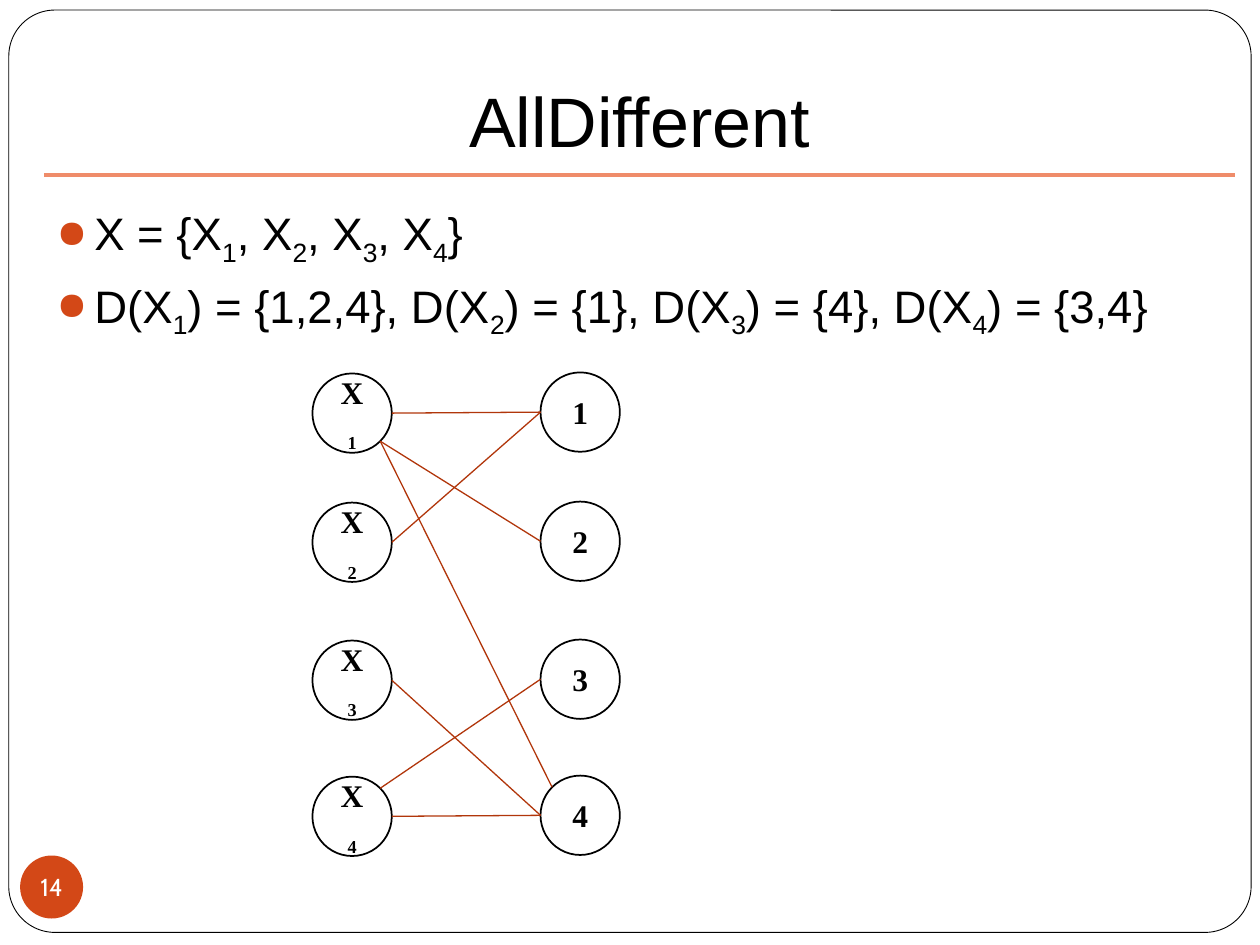
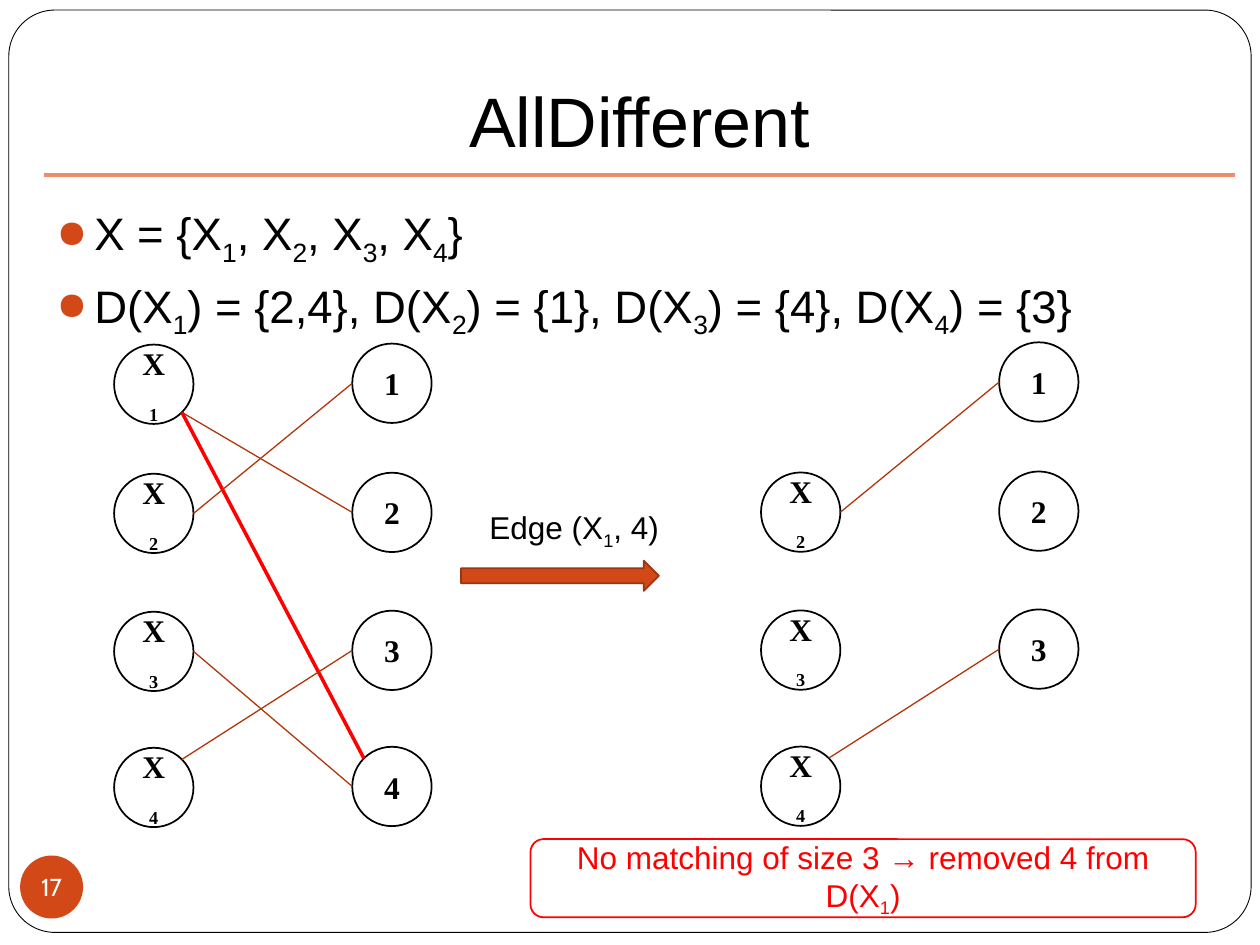
from math import cos, radians, sin

from lxml.etree import SubElement
from pptx import Presentation
from pptx.dml.color import RGBColor as RGB
from pptx.enum.shapes import MSO_CONNECTOR as CXN, MSO_SHAPE as SHAPE
from pptx.enum.text import MSO_ANCHOR as ANCHOR, PP_ALIGN as ALIGN
from pptx.oxml.ns import qn
from pptx.util import Inches, Pt

COLORS = {
    "ink": "000000", "paper": "FFFFFF", "accent": "D34817", "rule": "EF8C6A",
    "edge": "B1360B", "arrow_line": "9C3511", "alert": "FF0000",
}
SANS, SERIF, NUMBER = "Arial", "Times New Roman", "Cabin"
INSETS = (1, 0.5, 1, 0.5)
NODE = 6.3
ROWS = (0, 10.25, 21.2, 32)
RISE = 0.08
ANGLES = {"right": 0, "low right": 45, "left": 180, "high left": 225, "high right": 315}


class Deck:
    def __init__(self, cols=100, rows=75):
        self.prs = Presentation()
        self.prs.slide_width, self.prs.slide_height = Inches(10), Inches(7.5)
        self.col = self.prs.slide_width / cols
        self.row = self.prs.slide_height / rows

    def grid(self, *vals):
        return [int(v * (self.row if i % 2 else self.col)) for i, v in enumerate(vals)]

    def color(self, name):
        return RGB.from_string(COLORS[name])

    def slide(self, title, number, bullets):
        self.shapes = self.prs.slides.add_slide(self.prs.slide_layouts[6]).shapes
        frame = self.shape(SHAPE.ROUNDED_RECTANGLE, (0.7, 0.8, 98.6, 73.2), "paper", "ink", 0.5)
        frame.adjustments[0] = 0.05
        self.text(self.box((3.5, 1.3, 94.5, 12.5)), [title], 40, anchor=ANCHOR.BOTTOM,
                  align=ALIGN.CENTER, insets=(1, 0.5, 1, 1))
        self.line((3.5, 13.9), (98, 13.9), "rule", 2)
        badge = self.shape(SHAPE.OVAL, (1.6, 67.9, 5, 5), "accent")
        self.text(badge, [number], 14, NUMBER, "paper", anchor=ANCHOR.MIDDLE,
                  align=ALIGN.CENTER, insets=(0, 0, 0, 0), wrap=False)
        body = self.box((3.5, 15.8, 94.5, 50.8))
        self.text(body, bullets, 26)
        for p in body.text_frame.paragraphs:
            self.bullet(p)

    def box(self, at):
        return self.shapes.add_textbox(*self.grid(*at))

    def shape(self, kind, at, fill=None, line=None, width=1):
        sp = self.shapes.add_shape(kind, *self.grid(*at))
        sp.shadow.inherit = False
        if fill:
            sp.fill.solid()
            sp.fill.fore_color.rgb = self.color(fill)
        else:
            sp.fill.background()
        if line:
            sp.line.color.rgb = self.color(line)
            sp.line.width = Pt(width)
        else:
            sp.line.fill.background()
        return sp

    def line(self, start, end, color, width):
        cxn = self.shapes.add_connector(CXN.STRAIGHT, *self.grid(*start, *end))
        cxn.line.color.rgb = self.color(color)
        cxn.line.width = Pt(width)
        SubElement(cxn._element.spPr, qn("a:effectLst"))

    def text(self, sp, lines, size, font=SANS, color="ink", bold=False, anchor=ANCHOR.TOP,
             align=ALIGN.LEFT, insets=INSETS, wrap=True):
        tf = sp.text_frame
        tf.word_wrap, tf.vertical_anchor = wrap, anchor
        tf.margin_left, tf.margin_top, tf.margin_right, tf.margin_bottom = self.grid(*insets)
        for i, words in enumerate(lines):
            p = tf.add_paragraph() if i else tf.paragraphs[0]
            p.alignment = align
            first, *rest = words.split("_")
            parts = [(first, False)]
            for part in rest:
                parts += [(part[0], True), (part[1:], False)]
            for part, sub in parts:
                if part:
                    r = p.add_run()
                    r.text = part
                    r.font.name, r.font.size, r.font.bold = font, Pt(size), bold
                    r.font.color.rgb = self.color(color)
                    if sub:
                        r._r.get_or_add_rPr().set("baseline", "-25000")

    def bullet(self, p):
        p.space_before = Pt(5.8)
        pPr = p._p.get_or_add_pPr()
        pPr.set("marL", str(Inches(0.3)))
        pPr.set("indent", str(-Inches(0.3)))
        SubElement(SubElement(pPr, qn("a:buClr")), qn("a:srgbClr"), val=COLORS["accent"])
        SubElement(pPr, qn("a:buSzPct"), val="85000")
        SubElement(pPr, qn("a:buChar"), char="●")

    def node(self, label, at):
        sp = self.shape(SHAPE.OVAL, (*at, NODE, NODE), "paper", "ink")
        self.text(sp, [label], 18, SERIF, bold=True, anchor=ANCHOR.MIDDLE, align=ALIGN.CENTER)

    def graph(self, left, top, gap, variables, values, edges):
        spots = {f"X_{n}": (left, top + ROWS[n - 1]) for n in variables}
        spots |= {str(n): (left + gap, top + ROWS[n - 1] - RISE) for n in values}
        for label, at in spots.items():
            self.node(label, at)
        for var, side, val, end, *style in edges:
            color, width = style or ("edge", 0.75)
            self.line(self.rim(spots[f"X_{var}"], side), self.rim(spots[str(val)], end), color, width)

    def rim(self, at, side):
        a = radians(ANGLES[side])
        return at[0] + NODE / 2 * (1 + cos(a)), at[1] + NODE / 2 * (1 + sin(a))


def main():
    deck = Deck()
    title, variables = "AllDifferent", "X = {X_1, X_2, X_3, X_4}"
    every = range(1, 5)
    x1_1 = (1, "right", 1, "left")
    x1_2 = (1, "low right", 2, "left")
    x1_4 = (1, "low right", 4, "high left")
    x2_1 = (2, "right", 1, "left")
    x3_4 = (3, "right", 4, "left")
    x4_3 = (4, "high right", 3, "left")
    x4_4 = (4, "right", 4, "left")

    deck.slide(title, "14", [
        variables, "D(X_1) = {1,2,4}, D(X_2) = {1}, D(X_3) = {4}, D(X_4) = {3,4}"])
    deck.graph(24.8, 29.64, 18.1, every, every, [x1_1, x1_2, x1_4, x2_1, x3_4, x4_3, x4_4])

    deck.slide(title, "17", [
        variables, "D(X_1) = {2,4}, D(X_2) = {1}, D(X_3) = {4}, D(X_4) = {3}"])
    deck.graph(9.06, 27.35, 18.9, every, every,
               [x1_2, (*x1_4, "alert", 2), x2_1, x3_4, x4_3])
    deck.shape(SHAPE.RIGHT_ARROW, (36.6, 44.5, 15.7, 2.4), "accent", "arrow_line")
    deck.text(deck.box((36.6, 39.8, 18.3, 4)), ["Edge (X_1, 4)"], 18, insets=(2.25, 0.5, 1, 0.5))
    note = deck.shape(SHAPE.ROUNDED_RECTANGLE, (42.1, 66.6, 52.8, 6.2), line="alert")
    deck.text(note, ["No matching of size 3 → removed 4 from D(X_1)"], 18, color="alert",
              anchor=ANCHOR.MIDDLE, align=ALIGN.CENTER)
    deck.graph(60.4, 27.25, 18.9, every[1:], every[:3], [x2_1, x4_3])

    deck.prs.save("out.pptx")


if __name__ == "__main__":
    main()
